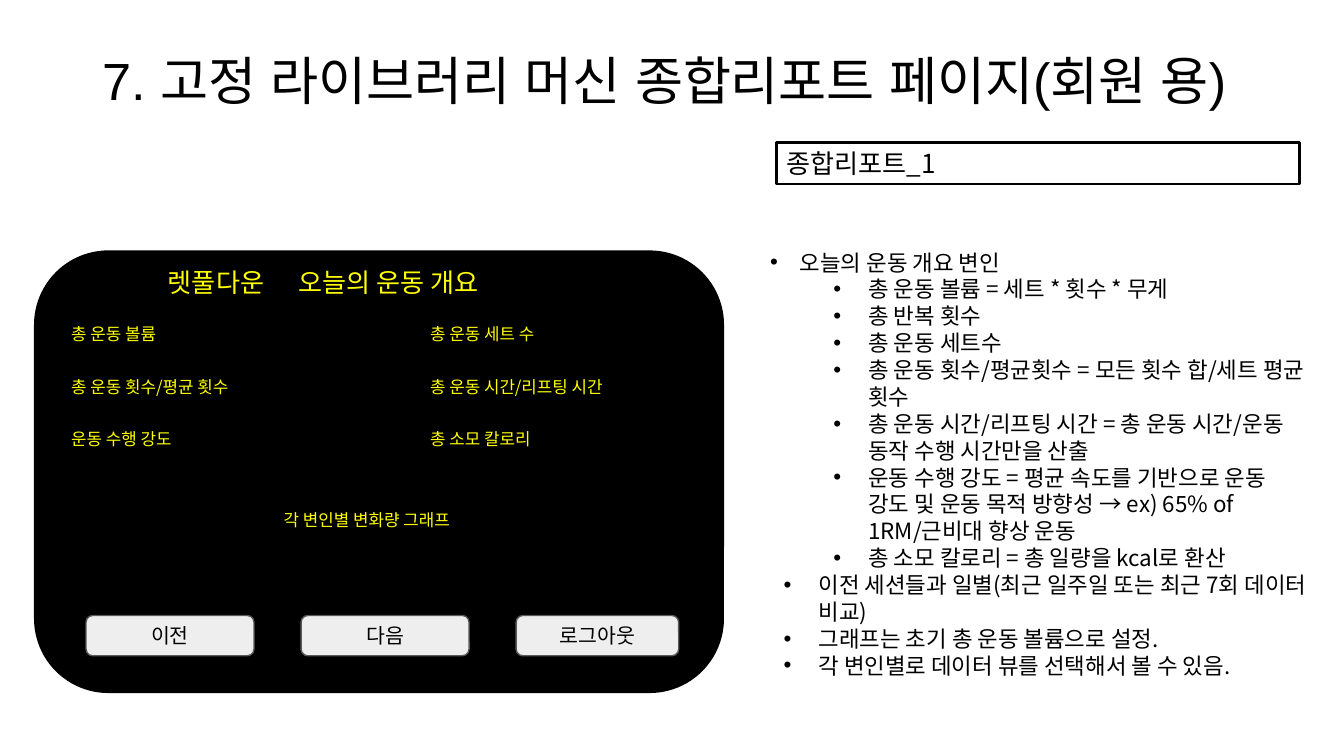
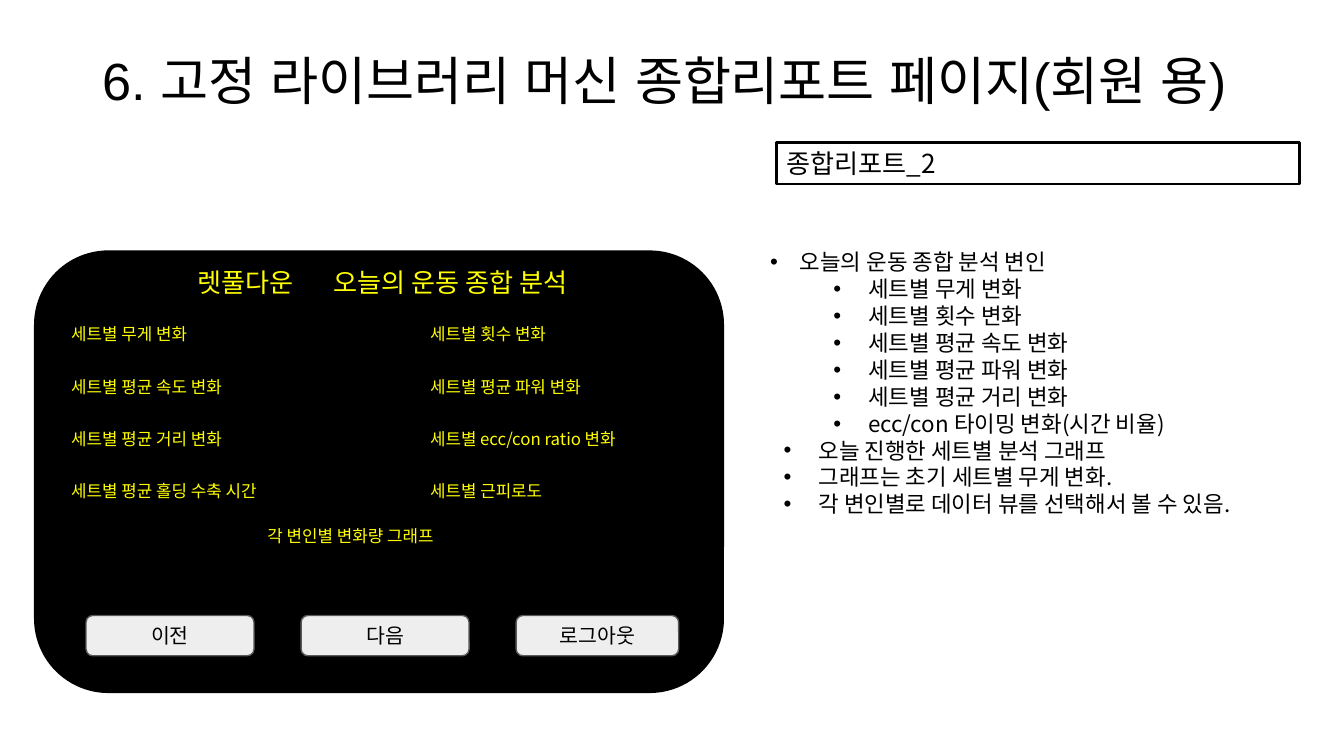
from dataclasses import dataclass

from lxml.etree import SubElement
from pptx import Presentation
from pptx.dml.color import RGBColor
from pptx.enum.shapes import MSO_SHAPE as Shape
from pptx.enum.text import MSO_ANCHOR as Anchor, MSO_AUTO_SIZE as AutoSize, PP_ALIGN as Align
from pptx.oxml.ns import qn
from pptx.util import Inches, Pt


@dataclass(frozen=True)
class Theme:
    body_font: str = "Noto Sans CJK KR"
    title_font: str = "Arial"
    black: str = "000000"
    yellow: str = "FFFF00"
    button_fill: str = "EEEEEE"
    button_line: str = "595959"
    title_size: int = 28
    heading_size: int = 14
    detail_size: int = 12
    button_size: int = 11
    label_size: int = 9


THEME = Theme()

# Content: label tuples hold the text and its width, one (left, right) pair per row
TITLE = "{}. 고정 라이브러리 머신 종합리포트 페이지(회원 용)"
MACHINE = "렛풀다운"
GRAPH = "각 변인별 변화량 그래프"
BUTTONS = [("이전", 1.25), ("다음", 1.25), ("로그아웃", 1.21)]
VIEW_REMARK = "각 변인별로 데이터 뷰를 선택해서 볼 수 있음."

PAGES = [
    {
        "number": 7,
        "report": "종합리포트_1",
        "machine_left": 1.18,
        "heading": ("오늘의 운동 개요", 2.15, 2.84),
        "labels": [
            (("총 운동 볼륨", 1.39), ("총 운동 세트 수", 1.39)),
            (("총 운동 횟수/평균 횟수", 1.69), ("총 운동 시간/리프팅 시간", 2.29)),
            (("운동 수행 강도", 1.39), ("총 소모 칼로리", 2.29)),
        ],
        "graph_at": (2.04, 3.75),
        "details_height": 3.31,
        "topic": "오늘의 운동 개요 변인",
        "variables": [
            "총 운동 볼륨 = 세트 * 횟수 * 무게",
            "총 반복 횟수",
            "총 운동 세트수",
            "총 운동 횟수/평균횟수 = 모든 횟수 합/세트 평균 횟수",
            "총 운동 시간/리프팅 시간 = 총 운동 시간/운동 동작 수행 시간만을 산출",
            "운동 수행 강도 = 평균 속도를 기반으로 운동 강도 및 운동 목적 방향성 → "
            "ex) 65% of 1RM/근비대 향상 운동",
            "총 소모 칼로리 = 총 일량을 kcal로 환산",
        ],
        "remarks": [
            "이전 세션들과 일별(최근 일주일 또는 최근 7회 데이터 비교)",
            "그래프는 초기 총 운동 볼륨으로 설정.",
            VIEW_REMARK,
        ],
    },
    {
        "number": 6,
        "report": "종합리포트_2",
        "machine_left": 1.4,
        "heading": ("오늘의 운동 종합 분석", 2.41, 2.44),
        "labels": [
            (("세트별 무게 변화", 1.39), ("세트별 횟수 변화", 1.39)),
            (("세트별 평균 속도 변화", 1.69), ("세트별 평균 파워 변화", 2.29)),
            (("세트별 평균 거리 변화", 1.48), ("세트별 ecc/con ratio 변화", 2.29)),
            (("세트별 평균 홀딩 수축 시간", 1.81), ("세트별 근피로도", 1.48)),
        ],
        "graph_at": (1.92, 3.87),
        "details_height": 2.1,
        "topic": "오늘의 운동 종합 분석 변인",
        "variables": [
            "세트별 무게 변화",
            "세트별 횟수 변화",
            "세트별 평균 속도 변화",
            "세트별 평균 파워 변화",
            "세트별 평균 거리 변화",
            "ecc/con 타이밍 변화(시간 비율)",
        ],
        "remarks": [
            "오늘 진행한 세트별 분석 그래프",
            "그래프는 초기 세트별 무게 변화.",
            VIEW_REMARK,
        ],
    },
]

# Layout grid, in inches
LABEL_COLUMNS = (0.46, 3.13)
LABEL_TOP, LABEL_PITCH, LABEL_HEIGHT = 2.37, 0.39, 0.23
HEADING_TOP, HEADING_HEIGHT = 1.94, 0.31
BUTTON_LEFT, BUTTON_PITCH, BUTTON_TOP, BUTTON_HEIGHT = 0.64, 1.6, 4.58, 0.3
# Bullet levels: outline level, left margin, first-line indent
TOPIC, VARIABLE, REMARK = (0, 0.24, -0.22), (1, 0.75, -0.26), (0, 0.38, -0.26)


def inches(*lengths):
    return [Inches(length) for length in lengths]


def style(paragraph, size, color=THEME.black, font=THEME.body_font):
    paragraph.font.size = Pt(size)
    paragraph.font.color.rgb = RGBColor.from_string(color)
    paragraph.font.name = font
    defaults = paragraph._p.pPr.find(qn("a:defRPr"))
    SubElement(defaults, qn("a:ea")).set("typeface", font)


def set_frame(frame, vertical=0.04, anchor=Anchor.TOP, fit=AutoSize.SHAPE_TO_FIT_TEXT):
    frame.margin_left = frame.margin_right = Inches(0.07)
    frame.margin_top = frame.margin_bottom = Inches(vertical)
    frame.vertical_anchor = anchor
    frame.word_wrap = True
    frame.auto_size = fit


def add_text(slide, text, left, top, width, height, size):
    box = slide.shapes.add_textbox(*inches(left, top, width, height))
    set_frame(box.text_frame)
    box.text_frame.text = text
    style(box.text_frame.paragraphs[0], size, THEME.yellow)


def add_box(slide, kind, place, fill, line, line_width):
    shape = slide.shapes.add_shape(kind, *inches(*place))
    shape.shadow.inherit = False
    if fill:
        shape.fill.solid()
        shape.fill.fore_color.rgb = RGBColor.from_string(fill)
    else:
        shape.fill.background()
    shape.line.color.rgb = RGBColor.from_string(line)
    shape.line.width = Pt(line_width)
    return shape


def add_bullet(paragraph, level, margin, indent):
    paragraph.level = level
    properties = paragraph._p.get_or_add_pPr()
    properties.set("marL", str(Inches(margin)))
    properties.set("indent", str(Inches(indent)))
    color = SubElement(properties, qn("a:buClr"))
    SubElement(color, qn("a:srgbClr")).set("val", THEME.black)
    SubElement(properties, qn("a:buFont")).set("typeface", THEME.title_font)
    SubElement(properties, qn("a:buChar")).set("char", "•")


def add_title(slide, number):
    title = slide.shapes.title
    title.left, title.top, title.width, title.height = inches(0.69, 0.08, 8.62, 1.09)
    set_frame(title.text_frame, anchor=Anchor.MIDDLE, fit=AutoSize.NONE)
    title.text_frame.text = TITLE.format(number)
    paragraph = title.text_frame.paragraphs[0]
    paragraph.alignment = Align.LEFT
    paragraph.line_spacing = 0.9
    style(paragraph, THEME.title_size, font=THEME.title_font)


def add_report_name(slide, name):
    box = add_box(slide, Shape.RECTANGLE, (5.78, 1.06, 3.89, 0.31), None, THEME.black, 1.5)
    set_frame(box.text_frame)
    box.text_frame.text = name
    paragraph = box.text_frame.paragraphs[0]
    paragraph.alignment = Align.LEFT
    style(paragraph, THEME.heading_size)


def add_screen(slide, page):
    # Black device screen
    panel = add_box(slide, Shape.ROUNDED_RECTANGLE, (1.18, 0.95, 3.28, 5.12),
                    THEME.black, THEME.black, 1)
    panel.rotation = 90

    # Screen heading
    heading, heading_left, heading_width = page["heading"]
    for text, left, width in [(MACHINE, page["machine_left"], 0.97),
                              (heading, heading_left, heading_width)]:
        add_text(slide, text, left, HEADING_TOP, width, HEADING_HEIGHT, THEME.heading_size)

    # Variable labels and graph caption
    for row, pair in enumerate(page["labels"]):
        top = LABEL_TOP + row * LABEL_PITCH
        for left, (text, width) in zip(LABEL_COLUMNS, pair):
            add_text(slide, text, left, top, width, LABEL_HEIGHT, THEME.label_size)
    add_text(slide, GRAPH, *page["graph_at"], 1.81, LABEL_HEIGHT, THEME.label_size)

    # Buttons
    for column, (text, width) in enumerate(BUTTONS):
        place = (BUTTON_LEFT + column * BUTTON_PITCH, BUTTON_TOP, width, BUTTON_HEIGHT)
        button = add_box(slide, Shape.ROUNDED_RECTANGLE, place,
                         THEME.button_fill, THEME.button_line, 0.75)
        set_frame(button.text_frame, 0.07, Anchor.MIDDLE, AutoSize.NONE)
        button.text_frame.text = text
        paragraph = button.text_frame.paragraphs[0]
        paragraph.alignment = Align.CENTER
        style(paragraph, THEME.button_size)


def add_details(slide, page):
    box = slide.shapes.add_textbox(*inches(5.64, 1.81, 4.18, page["details_height"]))
    frame = box.text_frame
    set_frame(frame)
    details = [(page["topic"], TOPIC)]
    details += [(text, VARIABLE) for text in page["variables"]]
    details += [(text, REMARK) for text in page["remarks"]]
    for index, (text, level) in enumerate(details):
        paragraph = frame.add_paragraph() if index else frame.paragraphs[0]
        paragraph.text = text
        add_bullet(paragraph, *level)
        style(paragraph, THEME.detail_size)


def main():
    presentation = Presentation()
    presentation.slide_width = Inches(10)
    presentation.slide_height = presentation.slide_width * 9 // 16
    title_only = presentation.slide_layouts[5]
    for page in PAGES:
        slide = presentation.slides.add_slide(title_only)
        add_title(slide, page["number"])
        add_report_name(slide, page["report"])
        add_screen(slide, page)
        add_details(slide, page)
    presentation.save("out.pptx")


if __name__ == "__main__":
    main()
